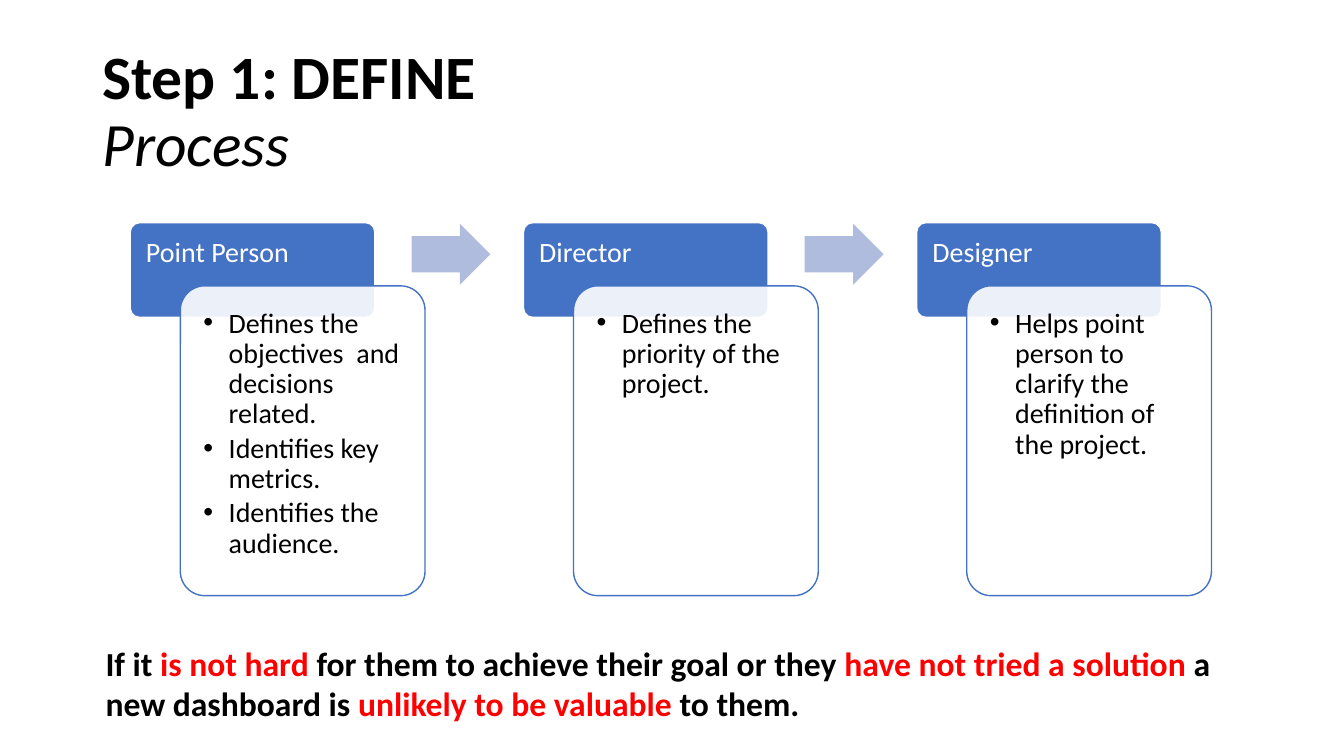
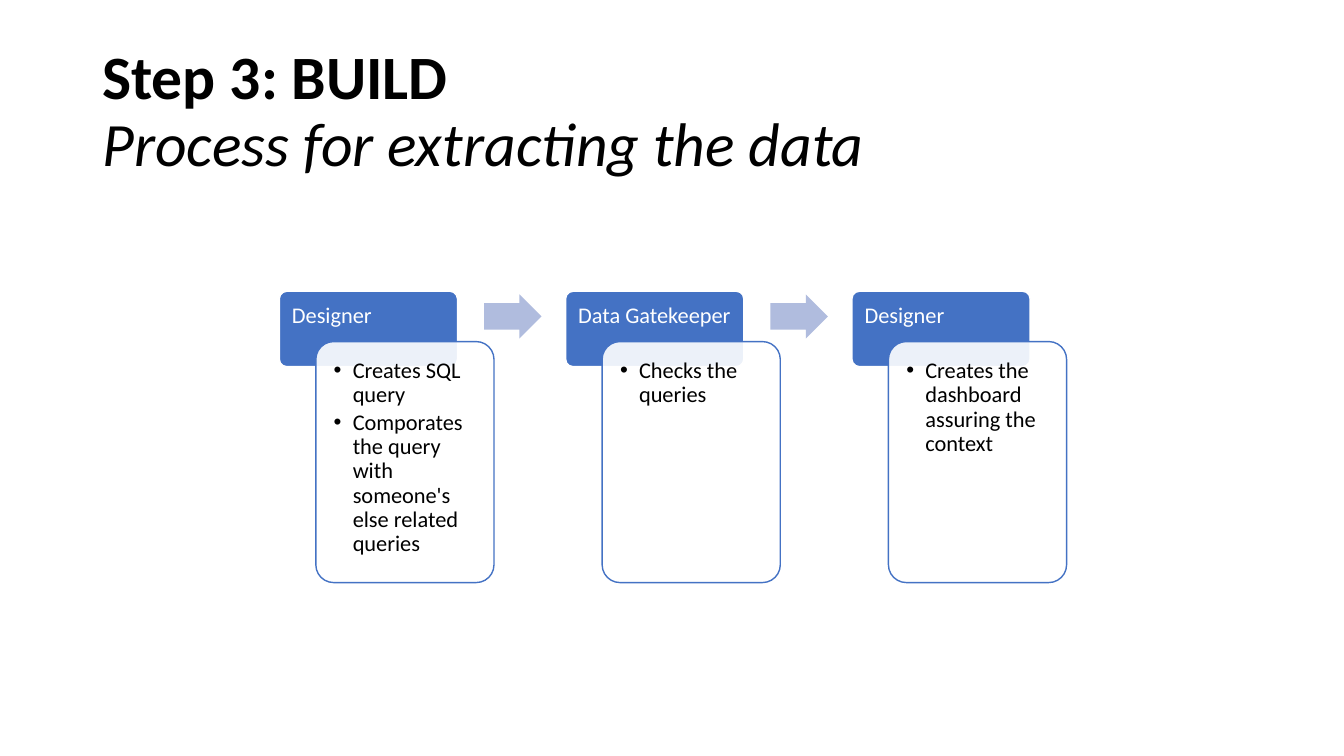
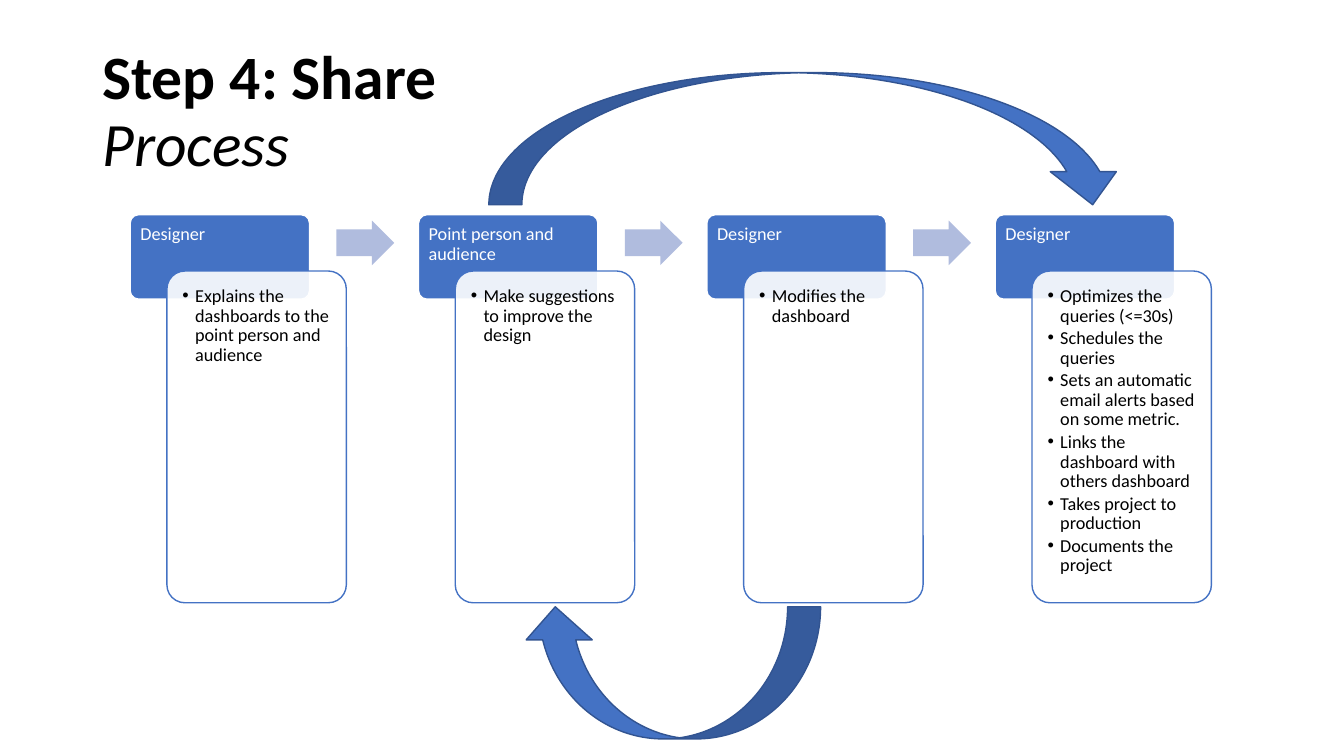
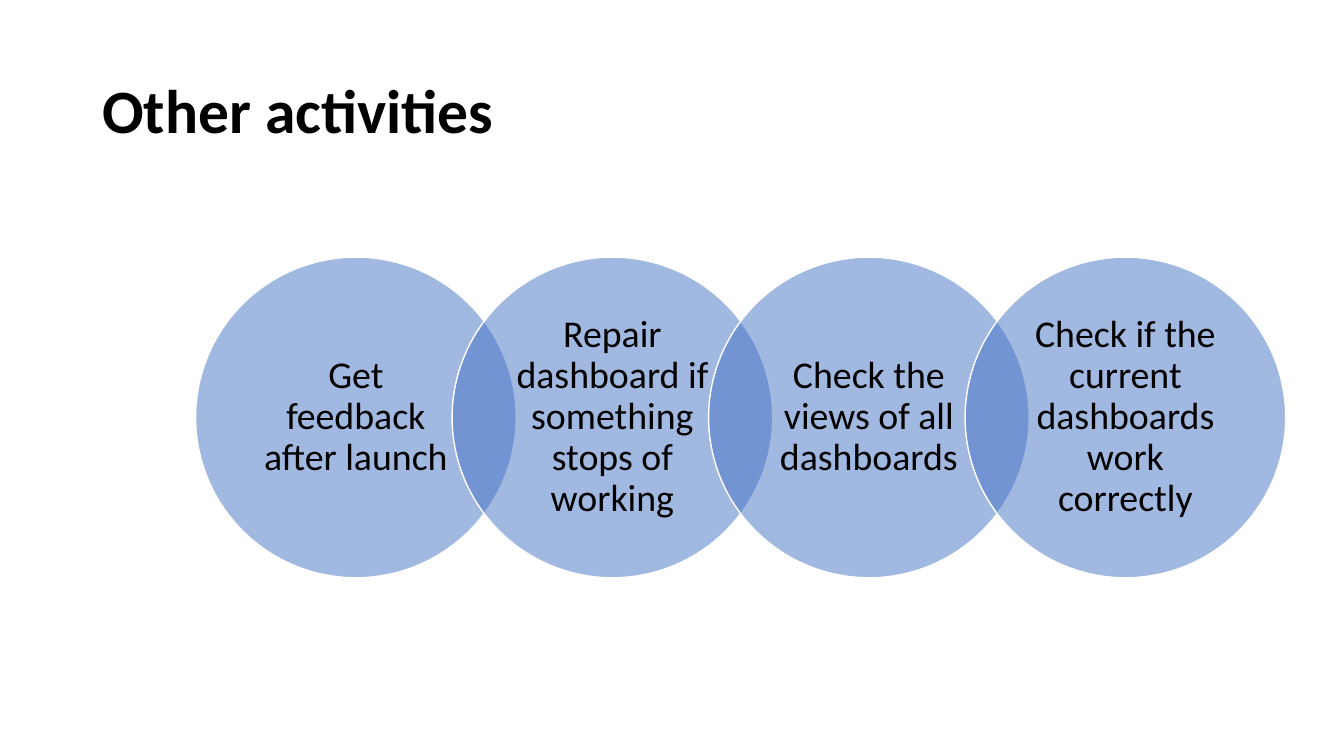
from typing import NamedTuple

from lxml import etree
from pptx import Presentation
from pptx import util as u
from pptx.dml.color import RGBColor
from pptx.enum import shapes, text
from pptx.oxml.ns import qn

FONT = "Calibri"
BLUE, DARK_BLUE, PALE_BLUE = "4472C4", "325491", "B0BCDE"
WHITE, BLACK, RED = "FFFFFF", "000000", "FF0000"
KIND = shapes.MSO_SHAPE

CARD_STEP = 1.607
BODY_SHIFT = 0.205
ARROW_SHIFT = 1.15
ARROW_WIDTH = 0.322
ARROW_RATIO = 0.77
HEAD_VISIBLE = 2 / 3
CIRCLE_STEP = 0.8


class Box(NamedTuple):
    left: float
    top: float
    width: float
    height: float

    def lengths(self):
        return [u.Cm(value) for value in self]


def colour(value):
    return RGBColor.from_string(value)


def style(span, size, ink, bold=False, italic=False):
    font = span.font
    font.name, font.size = FONT, u.Pt(size)
    font.bold, font.italic = bold, italic
    font.color.rgb = colour(ink)


def add_figure(page, kind, box, fill, line=None, opacity=100):
    figure = page.shapes.add_shape(kind, *box.lengths())
    figure.shadow.inherit = False
    figure.fill.solid()
    figure.fill.fore_color.rgb = colour(fill)
    if opacity < 100:
        tint = figure.element.spPr.find(qn("a:solidFill"))[0]
        etree.SubElement(tint, qn("a:alpha"), val=str(opacity * 1000))
    if line:
        figure.line.color.rgb = colour(line)
        figure.line.width = u.Pt(1)
    else:
        figure.line.fill.background()
    return figure


def add_text_box(page, box):
    frame = page.shapes.add_textbox(*box.lengths()).text_frame
    frame.word_wrap = True
    return frame


def add_bullet(para, indent):
    props = para._p.get_or_add_pPr()
    props.set("marL", str(u.Cm(indent)))
    props.set("indent", str(-u.Cm(indent)))
    etree.SubElement(props, qn("a:buFont"), typeface="Arial")
    etree.SubElement(props, qn("a:buChar"), char="•")


def fill_text(figure, lines, size, ink, pad, anchor=text.MSO_ANCHOR.TOP,
              align=text.PP_ALIGN.LEFT, indent=0):
    frame = figure.text_frame
    frame.word_wrap = True
    frame.vertical_anchor = anchor
    frame.margin_left = frame.margin_right = u.Cm(pad)
    frame.margin_top = frame.margin_bottom = u.Cm(pad)
    frame.text = "\n".join(lines)
    for para in frame.paragraphs:
        para.alignment = align
        para.line_spacing = 0.9
        para.space_after = u.Pt(0.15 * size)
        if indent:
            add_bullet(para, indent)
        for span in para.runs:
            style(span, size, ink)


def add_page(deck, title, subtitle=None):
    page = deck.slides.add_slide(deck.slide_layouts[6])
    frame = add_text_box(page, Box(2.33, 1.01, 29.21, 3.68))
    frame.vertical_anchor = text.MSO_ANCHOR.MIDDLE
    para = frame.paragraphs[0]
    para.text = f"{title}\v{subtitle}" if subtitle else title
    para.line_spacing = 0.9
    for index, span in enumerate(para.runs):
        style(span, 44, BLACK, bold=index == 0, italic=index == 1)
    return page


def add_card(page, box, head_height, size, indent, role, tasks):
    pad = 0.02 * size
    head_box = box._replace(height=head_height)
    head = add_figure(page, KIND.ROUNDED_RECTANGLE, head_box, BLUE, WHITE)
    head.adjustments[0] = 0.1
    fill_text(head, [role], size, WHITE, pad - 0.03 * head_height)

    drop = head_height * HEAD_VISIBLE
    body_box = Box(box.left + BODY_SHIFT * box.width, box.top + drop,
                   box.width, box.height - drop)
    body = add_figure(page, KIND.ROUNDED_RECTANGLE, body_box, WHITE, BLUE, 90)
    body.adjustments[0] = 0.1
    fill_text(body, tasks, size, BLACK, pad, indent=indent)


def add_flow(page, box, head_height, size, indent, steps):
    count = len(steps)
    width = box.width / (CARD_STEP * (count - 1) + 1 + BODY_SHIFT)
    arrow_width = ARROW_WIDTH * width
    arrow_height = ARROW_RATIO * arrow_width
    arrow_top = box.top + (head_height * HEAD_VISIBLE - arrow_height) / 2
    for index, (role, tasks) in enumerate(steps):
        left = box.left + index * CARD_STEP * width
        card_box = Box(left, box.top, width, box.height)
        add_card(page, card_box, head_height, size, indent, role, tasks)
        if index < count - 1:
            arrow_box = Box(left + ARROW_SHIFT * width, arrow_top,
                            arrow_width, arrow_height)
            arrow = add_figure(page, KIND.RIGHT_ARROW, arrow_box, PALE_BLUE)
            arrow.adjustments[0] = 0.6


def add_conclusion(page, box, parts):
    para = add_text_box(page, box).paragraphs[0]
    for words, ink in parts:
        span = para.add_run()
        span.text = words
        style(span, 24, ink, bold=True)


def add_loop(page, box, rotation=0):
    loop = add_figure(page, KIND.CURVED_DOWN_ARROW, box, BLUE, DARK_BLUE)
    loop.rotation = rotation


def add_circles(page, box, labels):
    for index, label in enumerate(labels):
        left = box.left + index * CIRCLE_STEP * box.height
        circle_box = Box(left, box.top, box.height, box.height)
        circle = add_figure(page, KIND.OVAL, circle_box, BLUE, WHITE, 50)
        fill_text(circle, [label], 27, BLACK, 0.43,
                  text.MSO_ANCHOR.MIDDLE, text.PP_ALIGN.CENTER)


def build_define(deck):
    page = add_page(deck, "Step 1: DEFINE", "Process")
    add_flow(page, Box(3.28, 5.61, 27.25, 9.4), 2.39, 20, 0.64, [
        ("Point Person", ["Defines the objectives  and decisions related.",
                          "Identifies key metrics.",
                          "Identifies the audience."]),
        ("Director", ["Defines the priority of the project."]),
        ("Designer", ["Helps point person to clarify the definition of "
                      "the project."]),
    ])
    add_conclusion(page, Box(2.41, 16.08, 28.98, 2.31), [
        ("If it ", BLACK),
        ("is not hard", RED),
        (" for them to achieve their goal or they ", BLACK),
        ("have not tried a solution", RED),
        (" a new dashboard is ", BLACK),
        ("unlikely to be valuable", RED),
        (" to them.", BLACK),
    ])


def build_extract(deck):
    page = add_page(deck, "Step 3: BUILD", "Process for extracting the data")
    add_flow(page, Box(7.04, 7.34, 19.84, 7.34), 1.9, 16, 0.48, [
        ("Designer", ["Creates SQL query",
                      "Comporates the query with someone's else related "
                      "queries"]),
        ("Data Gatekeeper", ["Checks the queries"]),
        ("Designer", ["Creates the dashboard assuring the context"]),
    ])


def build_share(deck):
    page = add_page(deck, "Step 4: Share", "Process")
    add_flow(page, Box(3.28, 5.41, 27.25, 9.78), 2.13, 13, 0.32, [
        ("Designer", ["Explains the dashboards to the point person and "
                      "audience"]),
        ("Point person and audience",
         ["Make suggestions to improve the design"]),
        ("Designer", ["Modifies the dashboard"]),
        ("Designer", ["Optimizes the queries (<=30s)",
                      "Schedules the queries",
                      "Sets an automatic email alerts based on some metric.",
                      "Links the dashboard with others dashboard",
                      "Takes project to production",
                      "Documents the project"]),
    ])
    add_loop(page, Box(13.16, 15.29, 7.52, 3.33), rotation=180)
    add_loop(page, Box(12.32, 1.83, 16.05, 3.33))


def build_other(deck):
    page = add_page(deck, "Other activities")
    add_circles(page, Box(4.93, 6.48, 27.47, 8.08), [
        "Get feedback after launch",
        "Repair dashboard if something stops of working",
        "Check the views of all dashboards",
        "Check if the current dashboards work correctly",
    ])


def main():
    deck = Presentation()
    deck.slide_width, deck.slide_height = u.Cm(33.87), u.Cm(19.05)
    for build in (build_define, build_extract, build_share, build_other):
        build(deck)
    deck.save("out.pptx")


if __name__ == "__main__":
    main()
